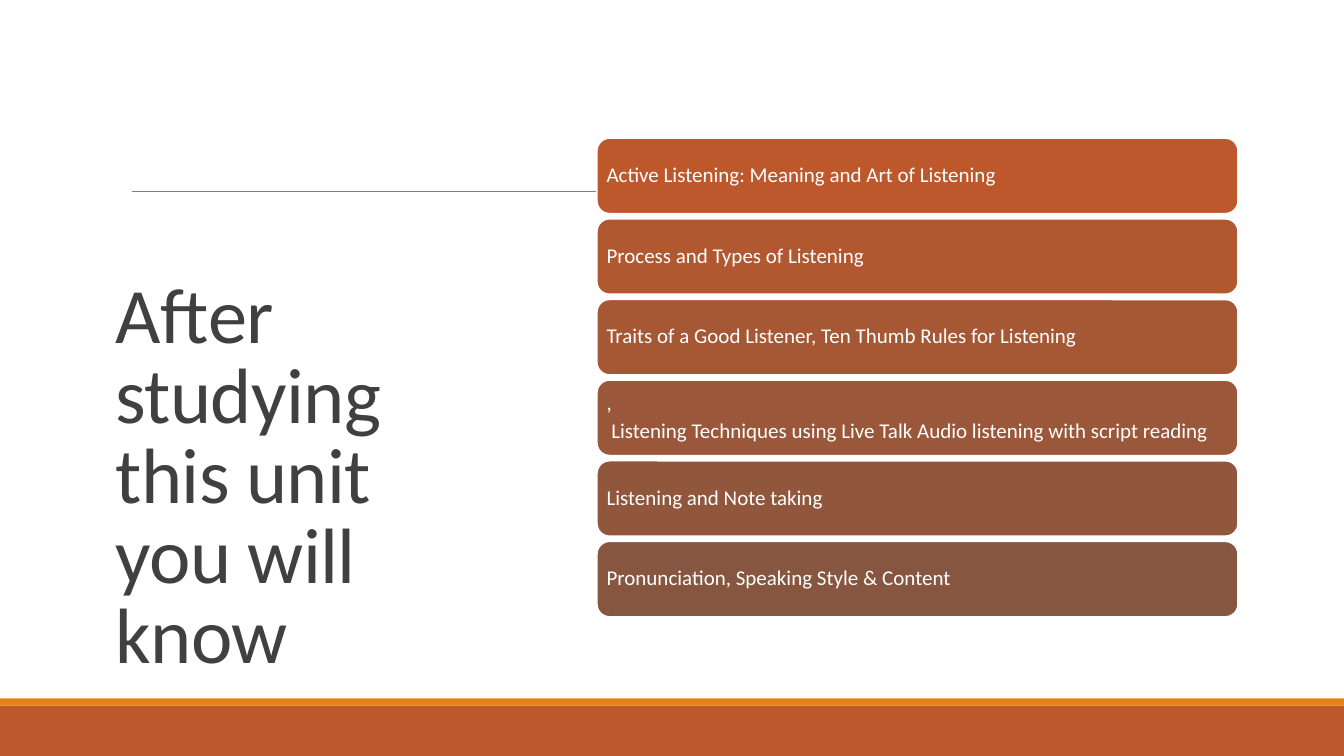
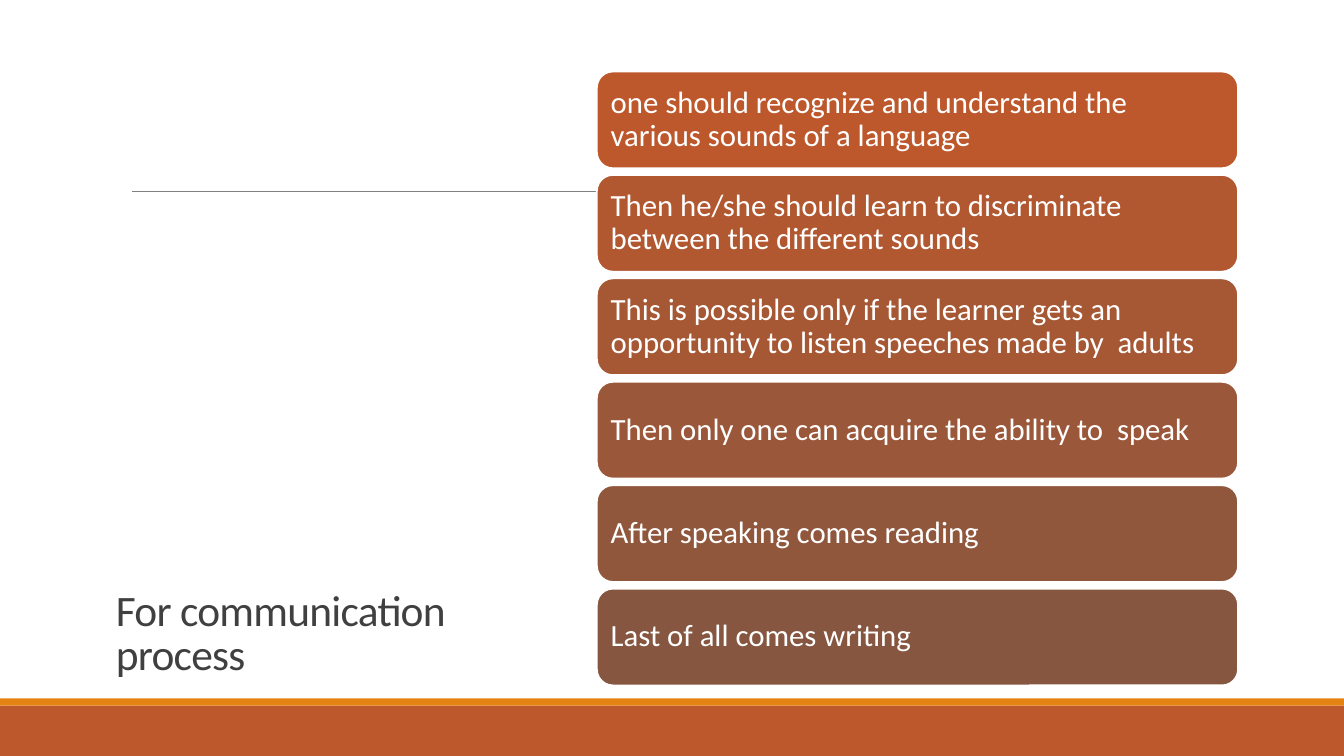
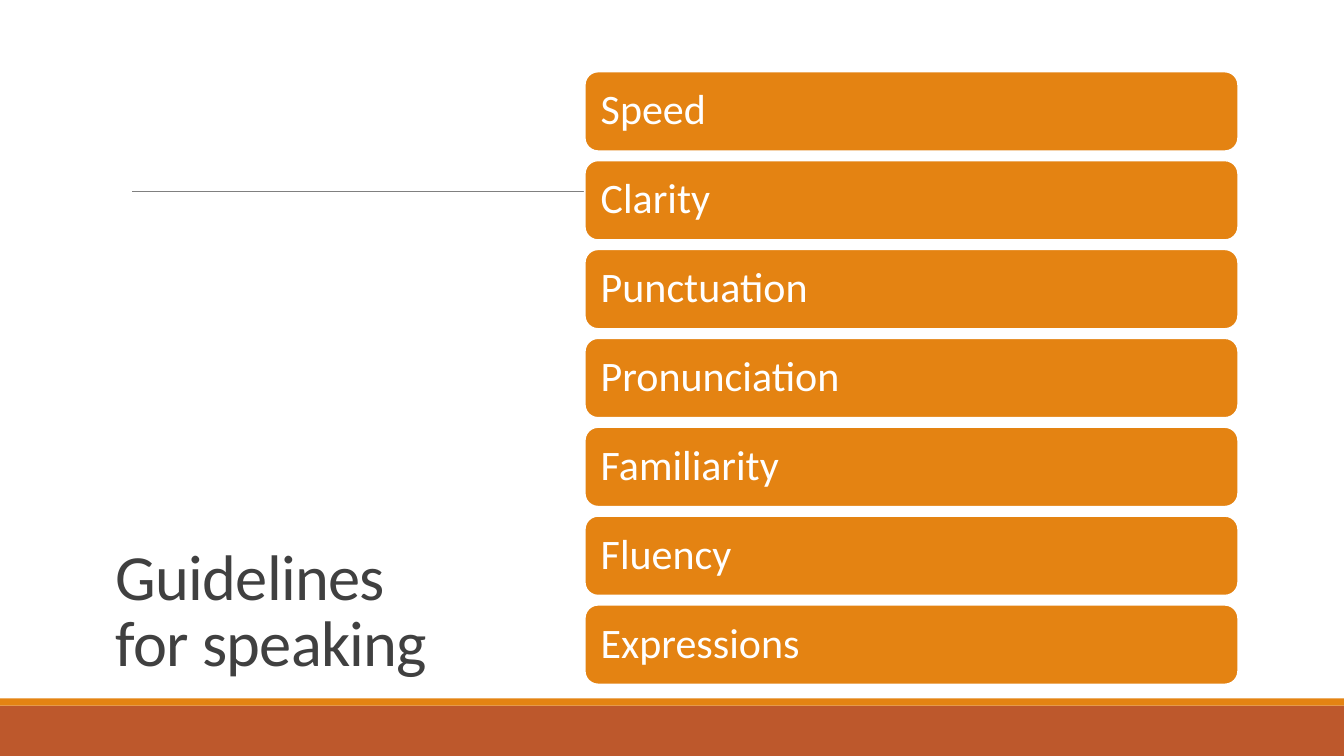
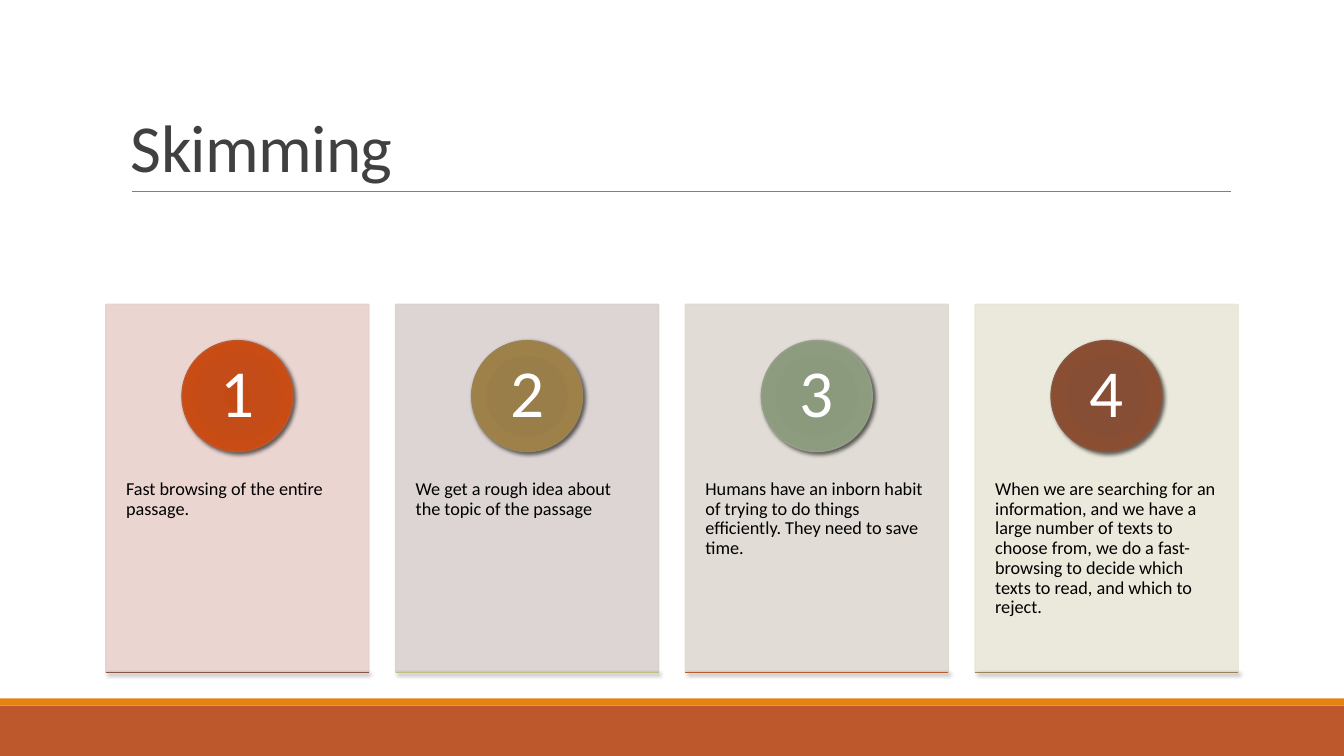
from lxml.etree import SubElement, fromstring
from pptx import Presentation
from pptx.dml.color import RGBColor
from pptx.enum.shapes import MSO_CONNECTOR, MSO_SHAPE
from pptx.enum.text import MSO_ANCHOR, PP_ALIGN
from pptx.oxml.ns import nsdecls, qn
from pptx.util import Inches, Pt

# Shared look
FONT = "Calibri"
RUST, GOLD, WHITE, DARK = "BD582C", "E48312", "FFFFFF", "404040"
SHADE = (
    f'<a:outerShdw {nsdecls("a")} blurRad="38100" dist="25400" dir="2700000" rotWithShape="0">'
    '<a:srgbClr val="000000"><a:alpha val="60000"/></a:srgbClr></a:outerShdw>'
)
rgb = RGBColor.from_string


def draw(slide, kind, box, fill=None, line=None, width=1):
    """Add a preset shape without shadow; box is left, top, width, height."""
    shape = slide.shapes.add_shape(kind, *map(Inches, box))
    shape.shadow.inherit = False
    if fill:
        shape.fill.solid()
        shape.fill.fore_color.rgb = rgb(fill)
    if line:
        shape.line.color.rgb = rgb(line)
        shape.line.width = Pt(width)
    else:
        shape.line.fill.background()
    return shape


def write(shape, text, size, color=WHITE, align=PP_ALIGN.LEFT, anchor=MSO_ANCHOR.MIDDLE,
          inset=(0.1, 0.05, 0.1, 0.05), space=0.9, after=0, track=0):
    """Fill a shape with text; inset is left, top, right, bottom."""
    frame = shape.text_frame
    frame.word_wrap = True
    frame.vertical_anchor = anchor
    (frame.margin_left, frame.margin_top,
     frame.margin_right, frame.margin_bottom) = map(Inches, inset)
    lines = text.split("\n")
    for n, part in enumerate(lines):
        para = frame.paragraphs[0] if n == 0 else frame.add_paragraph()
        para.alignment = align
        para.line_spacing = space
        para.space_after = Pt(after if n < len(lines) - 1 else 0)
        run = para.add_run()
        run.text = part
        run.font.name, run.font.size = FONT, Pt(size)
        run.font.color.rgb = rgb(color)
        if track:
            run._r.get_or_add_rPr().set("spc", str(int(track * 100)))


deck = Presentation()
deck.slide_width, deck.slide_height = Inches(13.33), Inches(7.5)

# Bands, rule and title on every slide
SIDE = (1.05, 0.7, 3.51, 6.09)
heads = [
    ("After studying this unit you will know", 56, SIDE),
    ("For communication process", 31, SIDE),
    ("Guidelines for speaking", 46, SIDE),
    ("Skimming", 48, (1.2, 0.31, 11, 1.59)),
]
for title, size, box in heads:
    slide = deck.slides.add_slide(deck.slide_layouts[6])
    draw(slide, MSO_SHAPE.RECTANGLE, (0, 7, 13.33, 0.5), RUST)
    draw(slide, MSO_SHAPE.RECTANGLE, (0, 6.93, 13.33, 0.07), GOLD)
    rule = slide.shapes.add_connector(
        MSO_CONNECTOR.STRAIGHT, Inches(1.31), Inches(1.9), Inches(12.21), Inches(1.9))
    rule.line.color.rgb = rgb("808080")
    rule.line.width = Pt(0.5)
    SubElement(rule._element.spPr, qn("a:effectLst"))
    write(slide.shapes.add_textbox(*map(Inches, box)), title, size, DARK,
          anchor=MSO_ANCHOR.BOTTOM, space=0.85, track=-0.5)

# Stacked bars on the first three slides
FADE = [RUST, "B15831", "A65835", "9B5739", "90573D", "865640"]
topics = [
    "Active Listening: Meaning and Art of Listening",
    "Process and Types of Listening",
    "Traits of a Good Listener, Ten Thumb Rules for Listening",
    ",\n Listening Techniques using Live Talk Audio listening with script reading",
    "Listening and Note taking",
    "Pronunciation, Speaking Style & Content",
]
steps = [
    "one should recognize and understand the various sounds of a language",
    "Then he/she should learn to discriminate between the different sounds",
    "This is possible only if the learner gets an opportunity to listen speeches made by  adults",
    "Then only one can acquire the ability to  speak",
    "After speaking comes reading",
    "Last of all comes writing",
]
guides = ["Speed", "Clarity", "Punctuation", "Pronunciation", "Familiarity", "Fluency",
          "Expressions"]
# texts, colours, left, first top, last top, height, text size, inset
stacks = [
    (topics, FADE, 5.92, 1.37, 5.37, 0.75, 15, 0.06),
    (steps, FADE, 5.92, 0.71, 5.84, 0.96, 22, 0.09),
    (guides, [GOLD] * len(guides), 5.8, 0.71, 6, 0.79, 30, 0.12),
]
for slide, (texts, tones, left, first, last, high, size, pad) in zip(deck.slides, stacks):
    pitch = (last - first) / (len(texts) - 1)
    for n, (text, tone) in enumerate(zip(texts, tones)):
        box = (left, first + n * pitch, 12.28 - left, high)
        bar = draw(slide, MSO_SHAPE.ROUNDED_RECTANGLE, box, tone, WHITE, 1.25)
        write(bar, text, size, inset=(pad,) * 4, after=4)

# Numbered cards on the last slide
slide = deck.slides[3]
# text, card, disc edge, disc gradient, base line
cards = [
    ("Fast browsing of the entire passage.",
     "E8D1CD", RUST, ("C44A15", "C34C18", "C94C15", "C45525"), "865640"),
    ("We get a rough idea about the topic of the passage",
     "D9D1CF", "9B8357", ("9A7D48", "9A7E4A", "9E8049", "9E8454"), "C2BC80"),
    ("Humans have an inborn habit of trying to do things efficiently. "
     "They need to save time.",
     "DED9D1", "94A088", ("8A987B", "8B997D", "8D9C7E", "94A187"), RUST),
    ("When we are searching for an information, and we have a large number of texts to "
     "choose from, we do a fast-browsing to decide which texts to read, and which to reject.",
     "E9E7D8", "865640", ("874C32", "864E34", "8A4E33", "8A553D"), "9B8357"),
]
WIDE, DISC, TOP, BASE = 2.61, 1.1, 3.02, 6.67
pitch = (12.28 - WIDE - 1.05) / (len(cards) - 1)
for n, (text, tone, edge, blend, foot) in enumerate(cards):
    left = 1.05 + n * pitch

    # Card with slight transparency
    card = draw(slide, MSO_SHAPE.RECTANGLE, (left, TOP, WIDE, BASE - TOP), tone, tone)
    for clr in card._element.spPr.iter(qn("a:srgbClr")):
        SubElement(clr, qn("a:alpha"), val="90000")
    write(card, text, 13, "000000", anchor=MSO_ANCHOR.TOP, inset=(0.2, 1.74, 0.2, 0.36))

    # Disc with radial gradient and shadow
    disc = draw(slide, MSO_SHAPE.OVAL, (left + (WIDE - DISC) / 2, 3.38, DISC, DISC), line=edge)
    stops = "".join(f'<a:gs pos="{pos}000"><a:srgbClr val="{clr}"/></a:gs>'
                    for pos, clr in zip((0, 34, 70, 100), blend))
    disc._element.spPr.find(qn("a:prstGeom")).addnext(fromstring(
        f'<a:gradFill {nsdecls("a")} rotWithShape="1"><a:gsLst>{stops}</a:gsLst>'
        '<a:path path="circle"><a:fillToRect l="100000" t="100000" r="100000" b="100000"/>'
        '</a:path></a:gradFill>'))
    disc._element.spPr.find(qn("a:effectLst")).append(fromstring(SHADE))
    write(disc, str(n + 1), 48, align=PP_ALIGN.CENTER, inset=(0.09, 0.01, 0.09, 0.01))

    # Base line with shadow
    base = slide.shapes.add_connector(
        MSO_CONNECTOR.STRAIGHT, Inches(left), Inches(BASE), Inches(left + WIDE), Inches(BASE))
    base.line.color.rgb = rgb(foot)
    base.line.width = Pt(1)
    SubElement(base._element.spPr, qn("a:effectLst")).append(fromstring(SHADE))

deck.save("out.pptx")
